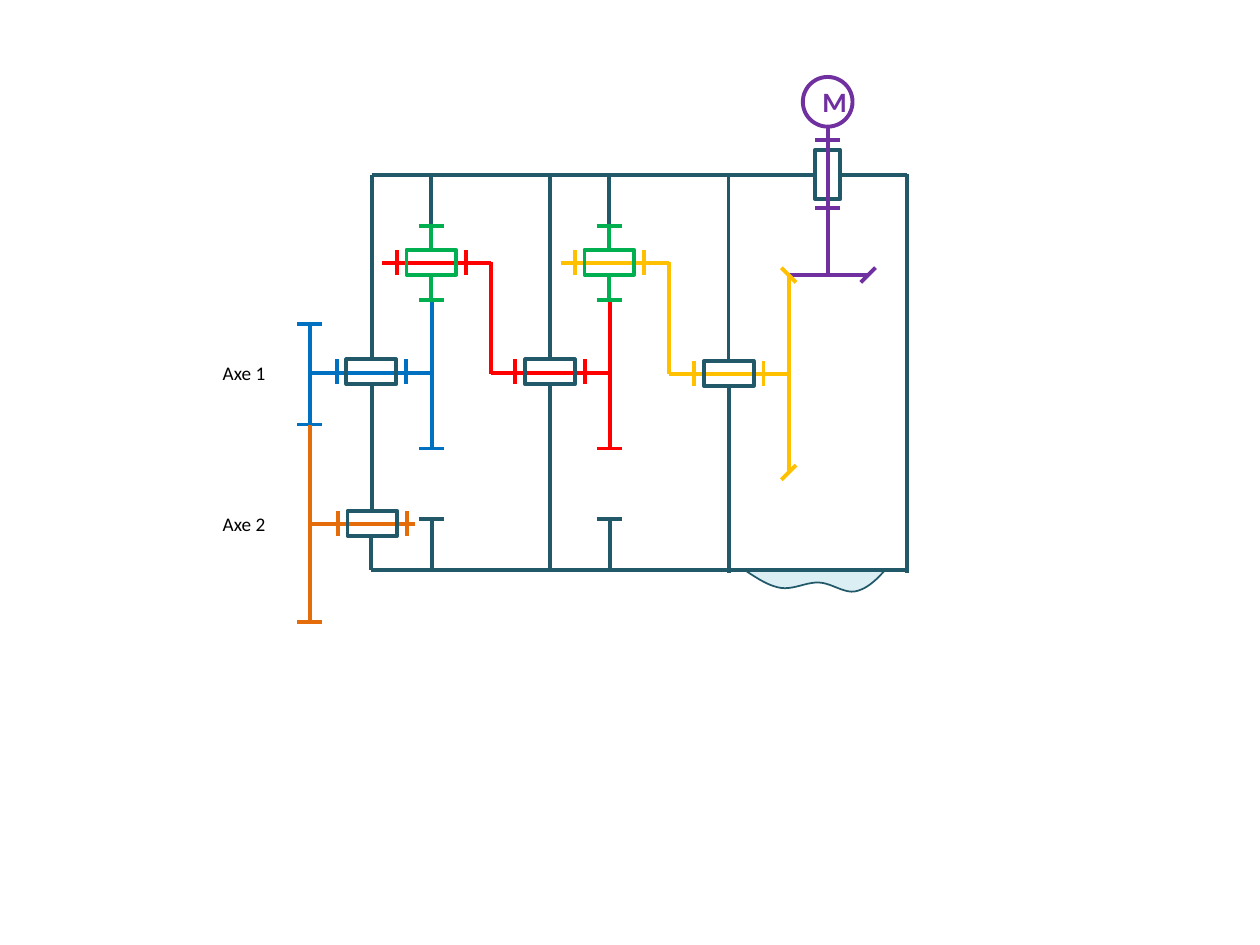
"""Draw the kinematic diagram of a motorised gear train."""
from lxml.etree import SubElement
from pptx import Presentation
from pptx.dml.color import RGBColor
from pptx.enum.shapes import MSO_CONNECTOR, MSO_SHAPE
from pptx.enum.text import MSO_ANCHOR, PP_ALIGN
from pptx.oxml.ns import qn
from pptx.util import Pt

FRAME = RGBColor(0x21, 0x59, 0x68)
WATER = RGBColor(0xDB, 0xEE, 0xF4)
PURPLE = RGBColor(0x70, 0x30, 0xA0)
YELLOW = RGBColor(0xFF, 0xC0, 0x00)
RED = RGBColor(0xFF, 0x00, 0x00)
GREEN = RGBColor(0x00, 0xB0, 0x50)
BLUE = RGBColor(0x00, 0x70, 0xC0)
ORANGE = RGBColor(0xE4, 0x6C, 0x0A)
BLACK = RGBColor(0x00, 0x00, 0x00)

LINE_WIDTH = 2.25
HALF_TICK = 7.1
STOP_GAP = 19.8
TOP, BOTTOM, RIGHT = 100.1, 325.5, 518.4


def add_line(s, color, x1, y1, x2, y2):
    ln = s.shapes.add_connector(MSO_CONNECTOR.STRAIGHT, Pt(x1), Pt(y1), Pt(x2), Pt(y2))
    ln.line.color.rgb = color
    ln.line.width = Pt(LINE_WIDTH)
    SubElement(ln._element.spPr, qn("a:effectLst"))


def add_bar(s, color, x, y):
    add_line(s, color, x - HALF_TICK, y, x + HALF_TICK, y)


def add_stop(s, color, x, y):
    add_line(s, color, x, y - HALF_TICK, x, y + HALF_TICK)


def add_bevel(s, color, x, y, slope):
    add_line(s, color, x - 4.2, y - 4.2 * slope, x + 4.2, y + 4.2 * slope)


def add_outline(s, kind, color, cx, cy, w, h):
    sp = s.shapes.add_shape(kind, Pt(cx - w / 2), Pt(cy - h / 2), Pt(w), Pt(h))
    sp.fill.background()
    sp.line.color.rgb = color
    sp.line.width = Pt(LINE_WIDTH)
    sp.shadow.inherit = False
    return sp


def add_bearing(s, case, shaft, x, y, start, end):
    add_line(s, shaft, start, y, end, y)
    add_outline(s, MSO_SHAPE.RECTANGLE, case, x, y - 0.4, 28.4, 14.2)
    for stop_x in (x - STOP_GAP, x + STOP_GAP):
        add_stop(s, shaft, stop_x, y - 0.4)


def add_planet(s, x):
    add_line(s, FRAME, x - 0.3, TOP, x - 0.3, 129)
    for bar_y, y1, y2 in ((129, 129, 143), (171.3, 157, 171.3)):
        add_line(s, GREEN, x, y1, x, y2)
        add_bar(s, GREEN, x, bar_y)
    add_line(s, FRAME, x + 0.3, 296.8, x + 0.3, BOTTOM)
    add_bar(s, FRAME, x, 296.8)


def add_sun(s, color, x):
    add_line(s, color, x, 171.4, x, 256.3)
    add_bar(s, color, x, 256.3)


def add_gear(s, color, x, top, bottom, bars):
    add_line(s, color, x, top, x, bottom)
    for y in bars:
        add_bar(s, color, x, y)


def bezier(p0, p1, p2, p3, steps=10):
    for i in range(1, steps + 1):
        t = i / steps
        u = 1 - t
        yield tuple(
            Pt(u**3 * a + 3 * u * u * t * b + 3 * u * t * t * c + t**3 * d)
            for a, b, c, d in zip(p0, p1, p2, p3)
        )


def add_water(s):
    wave = [
        (426.2, 326.2), (432.7, 330.5), (439.5, 335), (446.4, 336),
        (453.6, 337), (460.8, 332.6), (468, 332.9), (475.2, 333.2),
        (482, 339), (488.5, 338), (494.6, 337), (500.4, 332), (505.4, 326.2),
    ]
    points = [pt for i in range(0, 12, 3) for pt in bezier(*wave[i:i + 4])]
    fb = s.shapes.build_freeform(Pt(wave[0][0]), Pt(wave[0][1]))
    fb.add_line_segments(points, close=False)
    sp = fb.convert_to_shape()
    sp.fill.solid()
    sp.fill.fore_color.rgb = WATER
    sp.line.color.rgb = FRAME
    sp.line.width = Pt(1)
    sp.shadow.inherit = False


def format_text(tf, text, size, color, bold=False):
    tf.text = text
    font = tf.paragraphs[0].runs[0].font
    font.name = "Calibri"
    font.size = Pt(size)
    font.color.rgb = color
    font.bold = bold


def add_label(s, text, y):
    tf = s.shapes.add_textbox(Pt(120.2), Pt(y), Pt(49), Pt(20.6)).text_frame
    tf.word_wrap = True
    format_text(tf, text, 11, BLACK)


def add_motor(s):
    x = 473
    add_outline(s, MSO_SHAPE.RECTANGLE, FRAME, x, 99.7, 14.2, 28.4)
    add_gear(s, PURPLE, x, 72.7, 157, (79.9, 118.8))
    add_line(s, PURPLE, 450.7, 157, 496.1, 157)
    add_bevel(s, PURPLE, 496.1, 157.2, -1)
    sp = add_outline(s, MSO_SHAPE.OVAL, PURPLE, x, 58.2, 28.4, 28.4)
    tf = sp.text_frame
    tf.vertical_anchor = MSO_ANCHOR.MIDDLE
    format_text(tf, "M", 16, PURPLE, bold=True)
    tf.paragraphs[0].alignment = PP_ALIGN.CENTER


def add_frame(s):
    add_line(s, FRAME, 212.4, TOP, 465.8, TOP)
    add_line(s, FRAME, 480.2, TOP, RIGHT, TOP)
    add_line(s, FRAME, RIGHT, 99.4, RIGHT, 327.6)
    add_line(s, FRAME, 212, BOTTOM, RIGHT, BOTTOM)
    for x in (212.4, 314.1, 416.3):
        add_line(s, FRAME, x, TOP, x, 205.9)
    for x, y1, y2 in ((212.4, 219.8, 292.2), (212, 306.2, BOTTOM),
                      (314.1, 219.8, BOTTOM), (416.7, 221, 327.6)):
        add_line(s, FRAME, x, y1, x, y2)


def main():
    prs = Presentation()
    prs.slide_width, prs.slide_height = Pt(720), Pt(540)
    s = prs.slides.add_slide(prs.slide_layouts[6])

    add_water(s)
    add_motor(s)
    add_gear(s, YELLOW, 450.7, 157, 270, ())
    add_bevel(s, YELLOW, 450.7, 157.2, 1)
    add_bevel(s, YELLOW, 450.7, 270, -1)
    for args in (
        (FRAME, YELLOW, 416.5, 213.8, 382.3, 450.7),
        (GREEN, YELLOW, 348.2, 150.3, 320.4, 382.3),
        (FRAME, RED, 314.3, 212.9, 280.6, 348.5),
        (GREEN, RED, 246.5, 150.3, 218.2, 280.6),
        (FRAME, BLUE, 212.2, 212.9, 177.1, 246.8),
        (FRAME, ORANGE, 212.8, 299.5, 177.1, 236.9),
    ):
        add_bearing(s, *args)
    for color, x in ((YELLOW, 382.3), (RED, 280.6)):
        add_line(s, color, x, 150, x, 213.6)
    for color, x in ((RED, 348.4), (BLUE, 246.7)):
        add_sun(s, color, x)
        add_planet(s, x - 0.3)
    add_gear(s, BLUE, 177.1, 185, 242.6, (185, 242.6))
    add_gear(s, ORANGE, 177.1, 242.6, 355.7, (355.7,))
    add_frame(s)
    add_label(s, "Axe 1", 203)
    add_label(s, "Axe 2", 288.9)
    prs.save("out.pptx")


if __name__ == "__main__":
    main()
